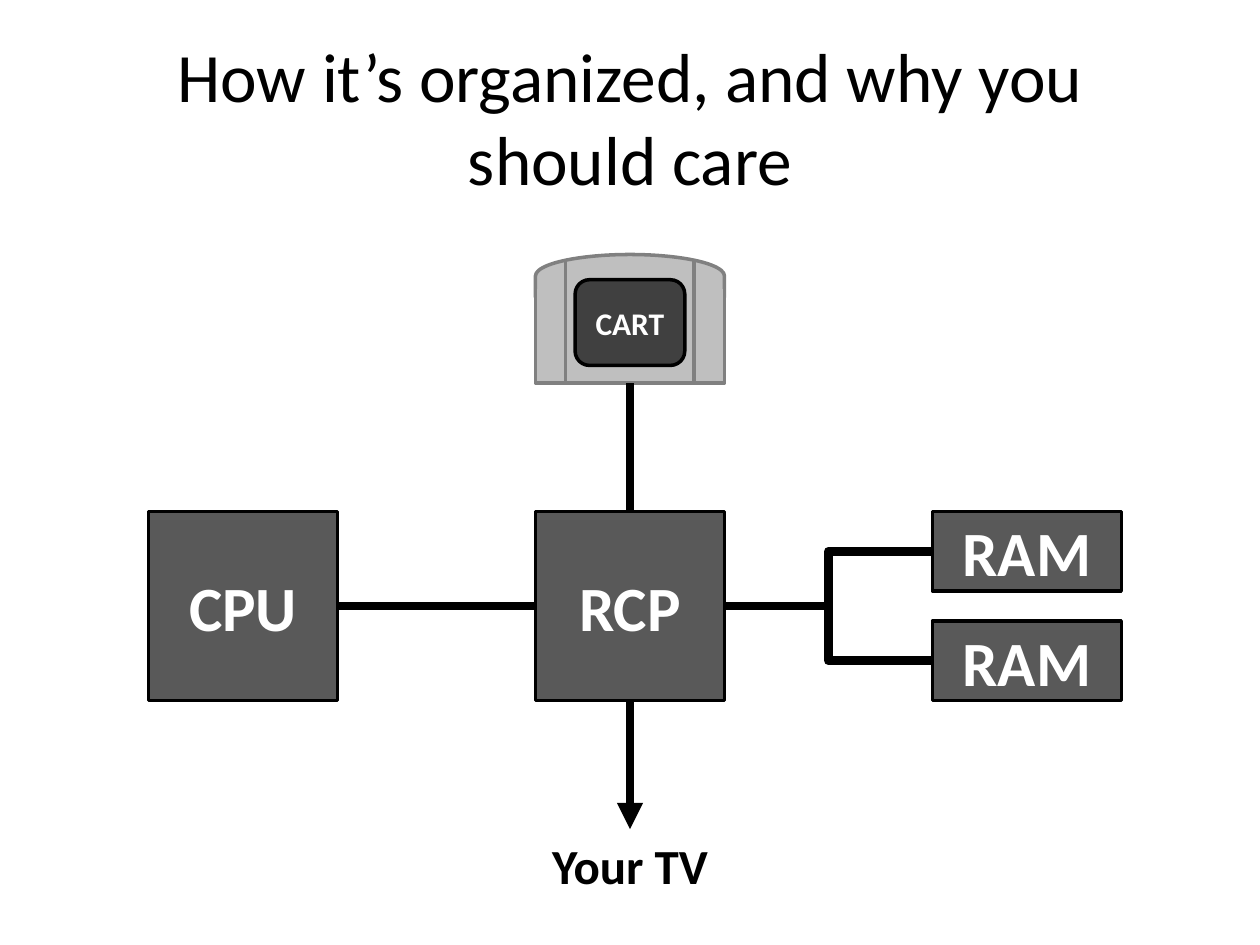
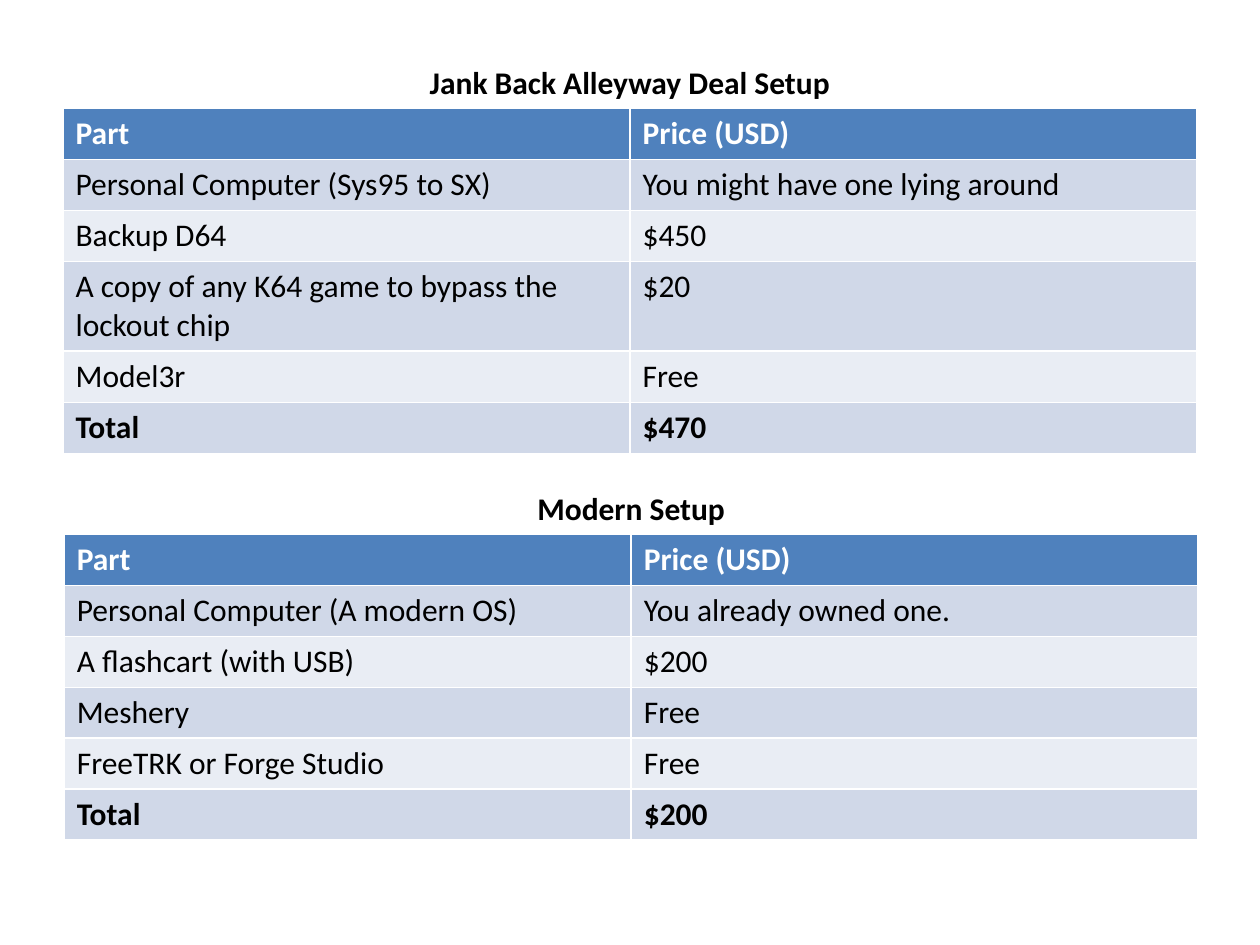
from dataclasses import dataclass

from lxml import etree
from pptx import Presentation
from pptx import util as u
from pptx.dml.color import RGBColor
from pptx.enum import shapes as kinds, text
from pptx.oxml.ns import qn

COLUMNS, ROWS = 100, 75
CELL = u.Inches(0.1)
FONT = "Calibri"
COLORS = {
    "ink": "000000", "paper": "FFFFFF", "chip": "595959",
    "shell": "BFBFBF", "seam": "808080", "sticker": "404040",
    "header": "4F81BD", "band_odd": "D0D8E8", "band_even": "E9EDF4",
}
CENTERED = {"alignment": text.PP_ALIGN.CENTER}
LABEL = {"name": FONT, "bold": True}
BUS_WIDTH, EDGE_WIDTH = 5, 2

PRICE_HEADINGS = ("Part", "Price (USD)")
ALLEY_ITEMS = [
    ("Personal Computer (Sys95 to SX)", "You might have one lying around"),
    ("Backup D64", "$450"),
    ("A copy of any K64 game to bypass the lockout chip", "$20"),
    ("Model3r", "Free"),
    ("Total", "$470"),
]
MODERN_ITEMS = [
    ("Personal Computer (A modern OS)", "You already owned one."),
    ("A flashcart (with USB)", "$200"),
    ("Meshery", "Free"),
    ("FreeTRK or Forge Studio", "Free"),
    ("Total", "$200"),
]


@dataclass
class Box:
    """An area measured in columns and rows of the slide grid."""
    left: float
    top: float
    width: float
    height: float

    def inner(self, left, top, width, height):
        return Box(self.left + left, self.top + top, width, height)

    def emu(self):
        return [round(n * CELL) for n in (self.left, self.top, self.width, self.height)]


def color(name):
    return RGBColor.from_string(COLORS[name])


def apply(target, values):
    for key, value in values.items():
        setattr(target, key, value)


def write(frame, words, size, ink, align=CENTERED, **font):
    frame.text = words
    paragraph = frame.paragraphs[0]
    apply(paragraph, align)
    run_font = paragraph.runs[0].font
    apply(run_font, {**LABEL, "size": u.Pt(size), **font})
    run_font.color.rgb = color(ink)


def draw_line(line, ink, width):
    line.color.rgb = color(ink)
    line.width = u.Pt(width)


def add_block(parent, kind, box, fill, edge, words=None, size=36):
    block = parent.add_shape(kind, *box.emu())
    block.shadow.inherit = False
    block.fill.solid()
    block.fill.fore_color.rgb = color(fill)
    draw_line(block.line, edge, EDGE_WIDTH)
    if words:
        apply(block.text_frame, {"vertical_anchor": text.MSO_ANCHOR.MIDDLE,
                                 "word_wrap": True})
        write(block.text_frame, words, size, "paper")
    return block


def add_caption(parent, box, words, size):
    caption = parent.add_textbox(*box.emu())
    caption.text_frame.word_wrap = True
    write(caption.text_frame, words, size, "ink")
    return caption


def add_line(parent, box, ink, width, kind=kinds.MSO_CONNECTOR.STRAIGHT):
    left, top, across, down = box.emu()
    line = parent.add_connector(kind, left, top, left + across, top + down)
    draw_line(line.line, ink, width)
    etree.SubElement(line.element.spPr, qn("a:effectLst"))
    return line


def add_bus(parent, start, start_side, end, end_side,
            kind=kinds.MSO_CONNECTOR.STRAIGHT, arrow=False):
    """Join the sides of two blocks with a thick line."""
    bus = add_line(parent, Box(0, 0, 1, 1), "ink", BUS_WIDTH, kind)
    bus.begin_connect(start, start_side)
    bus.end_connect(end, end_side)
    if arrow:
        outline = bus.element.spPr.find(qn("a:ln"))
        etree.SubElement(outline, qn("a:tailEnd"), type="triangle")


def add_cartridge(slide, box):
    """Draw the cartridge and return its body."""
    pieces = slide.shapes.add_group_shape().shapes
    preset = kinds.MSO_SHAPE
    dome = 3.4
    body = add_block(pieces, preset.RECTANGLE,
                     box.inner(0, 2, box.width, box.height - 2), "shell", "seam")
    lid = add_block(pieces, preset.FLOWCHART_DELAY,
                    box.inner((box.width - dome) / 2, (dome - box.width) / 2,
                              dome, box.width), "shell", "seam")
    lid.rotation = 270
    add_line(pieces, box.inner(0, dome, box.width, 0), "shell", 10)
    add_block(pieces, preset.ROUNDED_RECTANGLE, box.inner(3.15, 2, 8.7, 6.8),
              "sticker", "ink", "CART", 18)
    for inset, top in ((0, 1.7), (2.4, 0.45)):
        for x in (inset, box.width - inset):
            add_line(pieces, box.inner(x, top, 0, box.height - top), "seam", EDGE_WIDTH)
    return body


def add_console_diagram(slide, box):
    canvas = slide.shapes
    side, ram_height, chip_top, middle = 15, 6.3, 20.4, 30.7

    def chip(words, left, top=chip_top, height=side):
        return add_block(canvas, kinds.MSO_SHAPE.RECTANGLE,
                         box.inner(left, top, side, height), "chip", "ink", words)

    cpu = chip("CPU", 0)
    rcp = chip("RCP", middle)
    rams = [chip("RAM", box.width - side, top, ram_height)
            for top in (chip_top, chip_top + side - ram_height)]
    cartridge = add_cartridge(slide, box.inner(middle, 0, side, 10.2))
    tv = add_caption(canvas, box.inner(middle, 45.6, side, 5.7), "Your TV", 28)

    for ram in rams:
        add_bus(canvas, rcp, 3, ram, 1, kinds.MSO_CONNECTOR.ELBOW)
    add_bus(canvas, cpu, 3, rcp, 1)
    add_bus(canvas, rcp, 0, cartridge, 2)
    add_bus(canvas, rcp, 2, tv, 0, arrow=True)


def add_title(slide, box, words):
    title = slide.shapes.title
    apply(title, dict(zip(("left", "top", "width", "height"), box.emu())))
    title.text_frame.vertical_anchor = text.MSO_ANCHOR.MIDDLE
    write(title.text_frame, words, 39.6, "ink", bold=False)


def add_price_list(slide, box, heading, items):
    """Place a heading with its price table below it."""
    heading_height, row_height = 4.1, 4.05
    rows = [PRICE_HEADINGS, *items]
    area = box.inner(0, heading_height, box.width, row_height * len(rows))
    table = slide.shapes.add_table(len(rows), len(PRICE_HEADINGS), *area.emu()).table
    for index, row in enumerate(rows):
        is_header = index == 0
        fill = "header" if is_header else "band_odd" if index % 2 else "band_even"
        for column, words in enumerate(row):
            cell = table.cell(index, column)
            cell.fill.solid()
            cell.fill.fore_color.rgb = color(fill)
            write(cell.text_frame, words, 18, "paper" if is_header else "ink",
                  align={}, bold=is_header or row[0] == "Total")
    add_caption(slide.shapes, box.inner(0, 0, box.width, 4), heading, 18)


def build_organization_slide(deck):
    slide = deck.slides.add_slide(deck.slide_layouts[5])
    add_title(slide, Box(5, 3, 90, 12.5), "How it’s organized, and why you should care")
    add_console_diagram(slide, Box(11.8, 20.2, 77.2, 51.3))


def build_price_slide(deck):
    slide = deck.slides.add_slide(deck.slide_layouts[6])
    add_price_list(slide, Box(5, 4.5, 90, 31.4),
                   "Jank Back Alleyway Deal Setup", ALLEY_ITEMS)
    add_price_list(slide, Box(5.1, 38.3, 90, 28.4), "Modern Setup", MODERN_ITEMS)


def main():
    deck = Presentation()
    apply(deck, {"slide_width": COLUMNS * CELL, "slide_height": ROWS * CELL})
    build_organization_slide(deck)
    build_price_slide(deck)
    deck.save("out.pptx")


if __name__ == "__main__":
    main()
